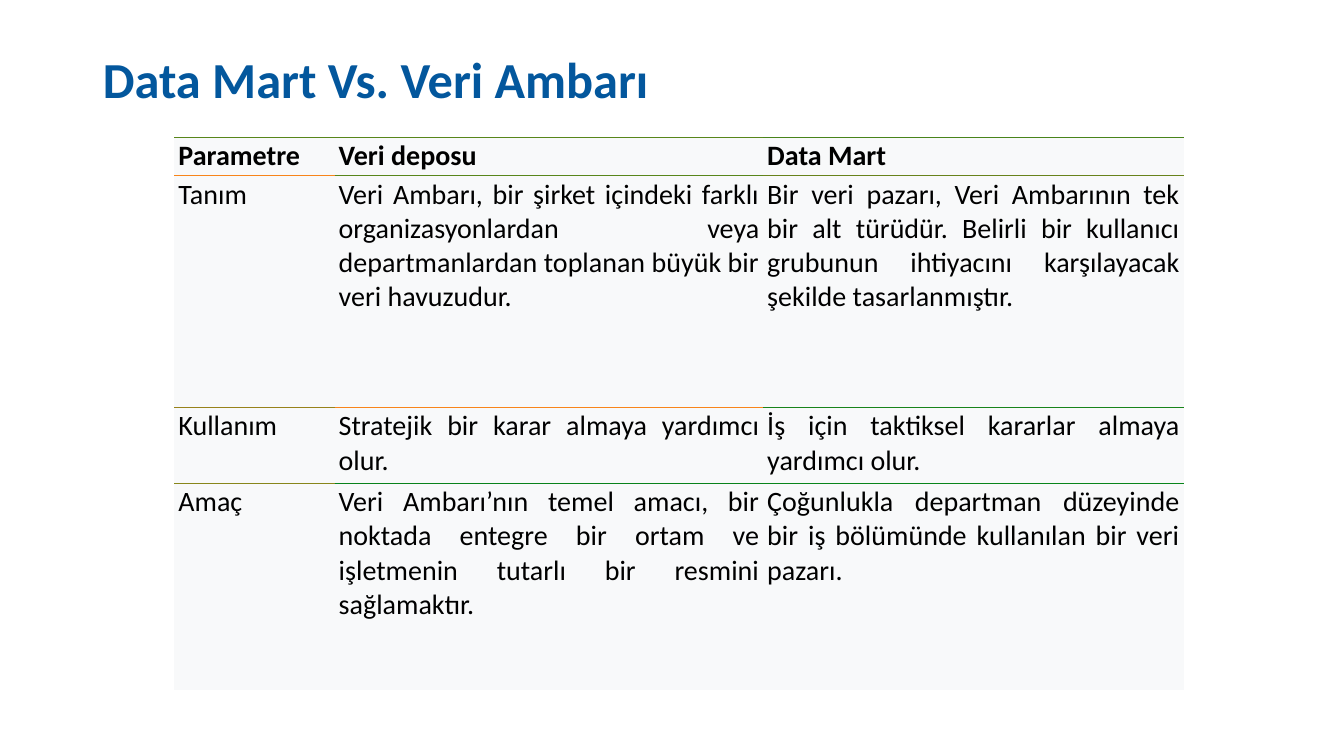
from lxml.etree import SubElement
from pptx import Presentation
from pptx.dml.color import RGBColor
from pptx.enum.text import MSO_ANCHOR, PP_ALIGN
from pptx.oxml.ns import qn
from pptx.util import Inches, Pt

HEADING = "Data Mart Vs. Veri Ambarı"
COMPARISON = [
    ("Parametre", "Veri deposu", "Data Mart"),
    (
        "Tanım",
        "Veri Ambarı, bir şirket içindeki farklı organizasyonlardan veya "
        "departmanlardan toplanan büyük bir veri havuzudur.",
        "Bir veri pazarı, Veri Ambarının tek bir alt türüdür. Belirli bir kullanıcı "
        "grubunun ihtiyacını karşılayacak şekilde tasarlanmıştır.",
    ),
    (
        "Kullanım",
        "Stratejik bir karar almaya yardımcı olur.",
        "İş için taktiksel kararlar almaya yardımcı olur.",
    ),
    (
        "Amaç",
        "Veri Ambarı’nın temel amacı, bir noktada entegre bir ortam ve "
        "işletmenin tutarlı bir resmini sağlamaktır.",
        "Çoğunlukla departman düzeyinde bir iş bölümünde kullanılan bir veri pazarı.",
    ),
]
COLUMN_WIDTHS = (1.59, 4.25, 4.17)
ROW_HEIGHTS = (0.38, 2.3, 0.75, 2.06)
RULE_COLORS = [
    ("58861A", "58861A", "48841A"),
    ("F8851A", "58861A", "68821A"),
    ("98821A", "F8851A", "18841A"),
    ("88861A", "08821A", "08851A"),
]
PLAIN_TABLE_STYLE = "{2D5ABB26-0587-4C30-8999-92F81FD0307C}"


def color(hex_value):
    """Turn a hex string into a colour."""
    return RGBColor.from_string(hex_value)


def write(frame, text, size=20, bold=False, ink="000000",
          align=PP_ALIGN.JUSTIFY, spacing=None):
    """Put one formatted paragraph into a text frame."""
    paragraph = frame.paragraphs[0]
    paragraph.alignment = align
    paragraph.line_spacing = spacing
    run = paragraph.add_run()
    run.text = text
    run.font.name = "Calibri"
    run.font.size = Pt(size)
    run.font.bold = bold
    run.font.color.rgb = color(ink)


def add_rule(cell, side, hex_value):
    """Draw a thin border on one side of a cell."""
    properties = cell._tc.get_or_add_tcPr()
    rule = SubElement(properties, qn(f"a:{side}"), w=str(Pt(0.38)))
    fill = SubElement(rule, qn("a:solidFill"))
    SubElement(fill, qn("a:srgbClr"), val=hex_value)


def place_title(slide, left, top, width, height):
    """Position and fill the slide title."""
    title = slide.shapes.title
    title.left, title.top = Inches(left), Inches(top)
    title.width, title.height = Inches(width), Inches(height)
    title.text_frame.vertical_anchor = MSO_ANCHOR.MIDDLE
    write(title.text_frame, HEADING, size=36, bold=True, ink="03579D",
          align=PP_ALIGN.LEFT, spacing=0.9)


def fill_cell(cell, text, is_header):
    """Format one comparison cell and write its text."""
    cell.margin_left = cell.margin_right = Inches(0.04)
    cell.margin_top = cell.margin_bottom = Inches(0.02)
    cell.vertical_anchor = MSO_ANCHOR.BOTTOM if is_header else MSO_ANCHOR.TOP
    write(cell.text_frame, text, bold=is_header)


def place_comparison(slide, left, top, width, height):
    """Build the comparison table with its horizontal rules."""
    frame = slide.shapes.add_table(
        len(COMPARISON), len(COLUMN_WIDTHS),
        Inches(left), Inches(top), Inches(width), Inches(height))
    table = frame.table
    table.first_row = table.horz_banding = False
    next(frame.element.iter(qn("a:tableStyleId"))).text = PLAIN_TABLE_STYLE
    for column, column_width in zip(table.columns, COLUMN_WIDTHS):
        column.width = Inches(column_width)
    for row, row_height in zip(table.rows, ROW_HEIGHTS):
        row.height = Inches(row_height)
    for r, texts in enumerate(COMPARISON):
        for c, text in enumerate(texts):
            cell = table.cell(r, c)
            fill_cell(cell, text, is_header=r == 0)
            add_rule(cell, "lnT", RULE_COLORS[r][c])
            if r + 1 < len(COMPARISON):
                add_rule(cell, "lnB", RULE_COLORS[r + 1][c])
            cell.fill.solid()
            cell.fill.fore_color.rgb = color("F8F9FA")


def main():
    """Build and save the slide."""
    deck = Presentation()
    deck.slide_width, deck.slide_height = Inches(13.33), Inches(7.5)
    slide = deck.slides.add_slide(deck.slide_layouts[5])
    place_title(slide, 0.92, 0.4, 11.5, 0.83)
    place_comparison(slide, 1.73, 1.36, sum(COLUMN_WIDTHS), sum(ROW_HEIGHTS))
    deck.save("out.pptx")


if __name__ == "__main__":
    main()
